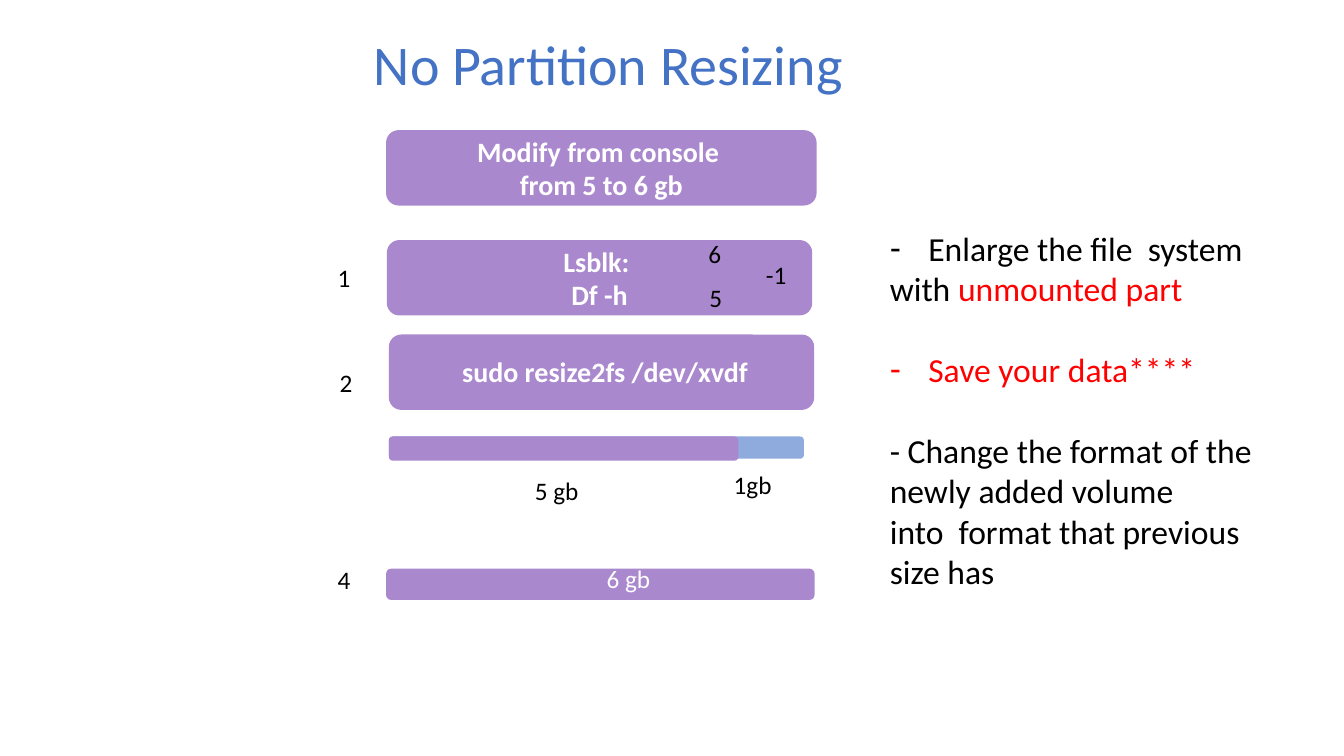
from dataclasses import dataclass

from lxml import etree
from pptx import Presentation
from pptx.dml.color import RGBColor
from pptx.enum import shapes, text
from pptx.oxml import ns
from pptx.util import Cm, Pt


@dataclass(frozen=True)
class Theme:
    font: str = "Calibri"
    title: str = "4472C4"
    step: str = "AA88CE"
    added: str = "8FAADC"
    ink: str = "000000"
    light: str = "FFFFFF"
    alert: str = "FF0000"
    title_size: int = 40
    note_size: int = 24
    step_size: int = 20
    label_size: int = 18
    note_gap: int = 29


THEME = Theme()
SLIDE_SIZE = (33.87, 19.05)
TITLE = ("No Partition Resizing", (9.17, 0.61, 13, 1.96))
ROUNDED = shapes.MSO_SHAPE.ROUNDED_RECTANGLE
PLAIN = shapes.MSO_SHAPE.RECTANGLE

BOXES = [
    (ROUNDED, (9.73, 3.28, 10.85, 1.9), THEME.step, ["Modify from console ", "from 5 to 6 gb"]),
    (ROUNDED, (9.75, 6.05, 10.72, 1.9), THEME.step, ["Lsblk: ", "Df -h"]),
    (ROUNDED, (9.8, 8.43, 10.72, 1.9), THEME.step, []),
    (PLAIN, (10.21, 8.84, 10.08, 1.02), THEME.step, ["sudo resize2fs /dev/xvdf"]),
    (ROUNDED, (9.8, 11, 10.46, 0.56), THEME.added, []),
    (ROUNDED, (9.8, 11, 8.81, 0.61), THEME.step, []),
    (ROUNDED, (9.73, 14.33, 10.8, 0.79), THEME.step, []),
]

LABEL_HEIGHT = 1.02
LABELS = [
    ("1", 8.26, 6.48, 0.84, THEME.ink),
    ("2", 8.31, 9.14, 0.84, THEME.ink),
    ("4", 8.26, 14.1, 0.84, THEME.ink),
    ("6", 17.6, 5.87, 0.84, THEME.ink),
    ("5", 17.63, 6.99, 0.84, THEME.ink),
    ("-1", 19.05, 6.4, 1.04, THEME.ink),
    ("5 gb", 13.23, 11.86, 1.63, THEME.ink),
    ("1gb", 18.24, 11.71, 1.55, THEME.ink),
    ("6 gb", 15.04, 14.07, 1.63, THEME.light),
]

NOTES_AREA = (22.17, 5.61, 9.88, 9.5)
NOTES_INDENT = 0.97
NOTES = [
    {"runs": [("Enlarge the file  system", THEME.ink)], "bullet": True},
    {"runs": [("with ", THEME.ink), ("unmounted part", THEME.alert)]},
    {"runs": [("Save your data****", THEME.alert)], "bullet": True, "before": THEME.note_gap},
    {"runs": [("- Change the format of the newly added volume", THEME.ink)],
     "before": THEME.note_gap},
    {"runs": [("into  format that previous size has", THEME.ink)]},
]


def place(shape, area):
    shape.left, shape.top, shape.width, shape.height = map(Cm, area)


def set_bullet(paragraph, bullet):
    properties = paragraph._p.get_or_add_pPr()
    indent = Cm(NOTES_INDENT) if bullet else 0
    properties.set("marL", str(indent))
    properties.set("indent", str(-indent))
    mark = etree.SubElement(properties, ns.qn("a:buChar" if bullet else "a:buNone"))
    if bullet:
        mark.set("char", "-")


def write(paragraph, content, *, size, color, bold=False, align=text.PP_ALIGN.LEFT, before=0):
    paragraph.alignment = align
    paragraph.line_spacing = 1.0
    paragraph.space_before = Pt(before)
    run = paragraph.add_run()
    run.text = content
    run.font.name = THEME.font
    run.font.size = Pt(size)
    run.font.bold = bold
    run.font.color.rgb = RGBColor.from_string(color)


def prepare(frame, *, wrap=True, anchor=text.MSO_ANCHOR.TOP):
    frame.word_wrap = wrap
    frame.auto_size = text.MSO_AUTO_SIZE.NONE
    frame.vertical_anchor = anchor


def paragraph_at(frame, index):
    return frame.add_paragraph() if index else frame.paragraphs[0]


def add_box(slide, kind, area, fill, lines):
    shape = slide.shapes.add_shape(kind, *map(Cm, area))
    shape.shadow.inherit = False
    shape.fill.solid()
    shape.fill.fore_color.rgb = RGBColor.from_string(fill)
    shape.line.fill.background()
    prepare(shape.text_frame, anchor=text.MSO_ANCHOR.MIDDLE)
    for index, line in enumerate(lines):
        write(paragraph_at(shape.text_frame, index), line, size=THEME.step_size,
              color=THEME.light, bold=True, align=text.PP_ALIGN.CENTER)


def add_label(slide, content, left, top, width, color):
    shape = slide.shapes.add_textbox(*map(Cm, (left, top, width, LABEL_HEIGHT)))
    prepare(shape.text_frame, wrap=False)
    write(shape.text_frame.paragraphs[0], content, size=THEME.label_size, color=color)


def fill_title(shape):
    content, area = TITLE
    place(shape, area)
    prepare(shape.text_frame)
    write(shape.text_frame.paragraphs[0], content, size=THEME.title_size, color=THEME.title)


def fill_notes(shape):
    place(shape, NOTES_AREA)
    prepare(shape.text_frame)
    for index, note in enumerate(NOTES):
        paragraph = paragraph_at(shape.text_frame, index)
        set_bullet(paragraph, note.get("bullet", False))
        for content, color in note["runs"]:
            write(paragraph, content, size=THEME.note_size, color=color,
                  before=note.get("before", 0))


def main():
    """Build the partition resizing slide."""
    presentation = Presentation()
    presentation.slide_width, presentation.slide_height = map(Cm, SLIDE_SIZE)
    slide = presentation.slides.add_slide(presentation.slide_layouts[1])
    fill_title(slide.shapes.title)
    fill_notes(slide.placeholders[1])
    for box in BOXES:
        add_box(slide, *box)
    for label in LABELS:
        add_label(slide, *label)
    presentation.save("out.pptx")


if __name__ == "__main__":
    main()
